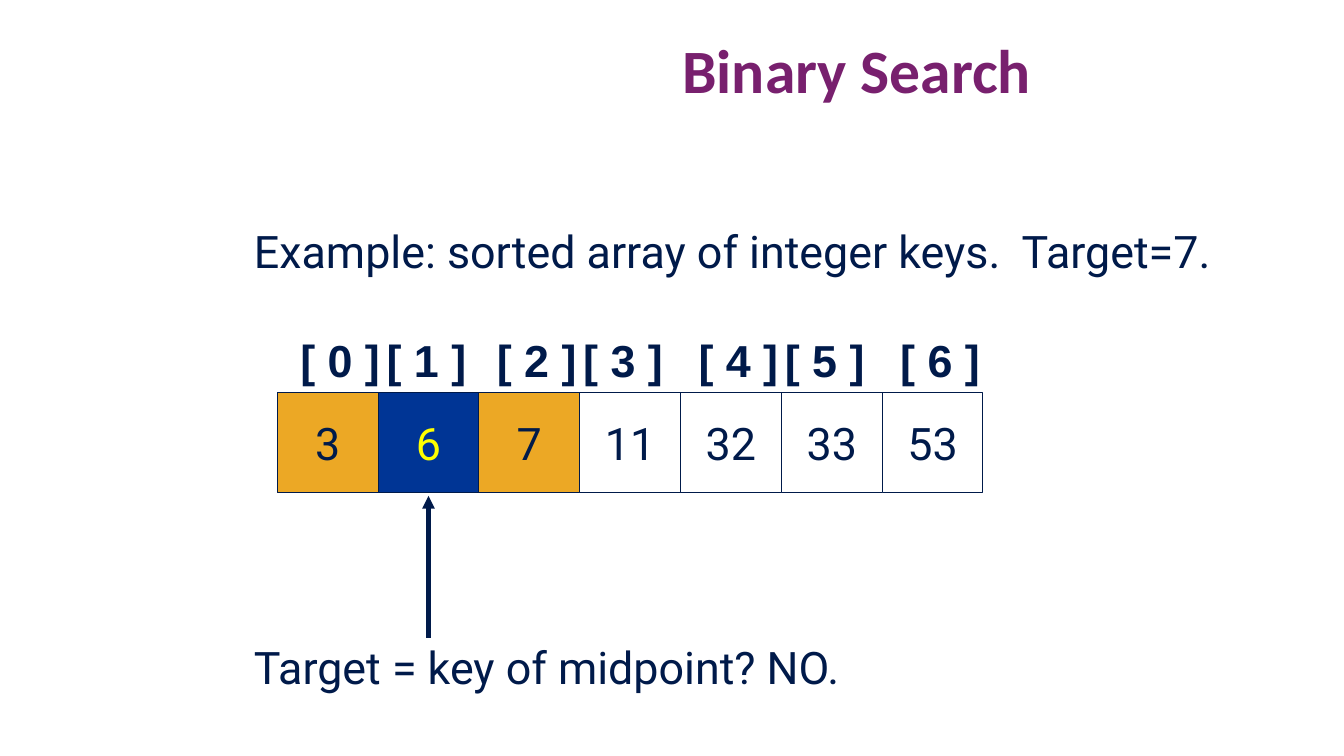
import pptx
import pptx.dml.color
import pptx.enum.shapes
import pptx.enum.text
import pptx.oxml.ns
import pptx.util
from lxml import etree

Inches = pptx.util.Inches
Pt = pptx.util.Pt
RGBColor = pptx.dml.color.RGBColor
Align = pptx.enum.text.PP_ALIGN
Anchor = pptx.enum.text.MSO_ANCHOR

NAVY = RGBColor(0x00, 0x1A, 0x4A)
BLUE = RGBColor(0x00, 0x35, 0x95)
AMBER = RGBColor(0xEC, 0xA8, 0x25)
YELLOW = RGBColor(0xFF, 0xFF, 0x00)
WHITE = RGBColor(0xFF, 0xFF, 0xFF)
PURPLE = RGBColor(0x78, 0x20, 0x6E)

KEYS = [3, 6, 7, 11, 32, 33, 53]
LOW, MIDDLE, HIGH = 0, 1, 2
CELL = 1
ARRAY_LEFT, ARRAY_TOP = 2.75, 3.89
LABEL_LEFTS = [2.88, 3.73, 4.83, 5.68, 6.83, 7.68, 8.83]


def write_text(shape, text, font="Roboto", size=32, color=NAVY, bold=False,
               align=Align.LEFT, anchor=Anchor.TOP, wrap=False, spacing=None):
    frame = shape.text_frame
    frame.word_wrap = wrap
    frame.vertical_anchor = anchor
    paragraph = frame.paragraphs[0]
    paragraph.alignment = align
    paragraph.line_spacing = spacing
    run = paragraph.add_run()
    run.text = text
    run.font.name = font
    run.font.size = Pt(size)
    run.font.bold = bold
    run.font.color.rgb = color


class SlideBuilder:
    def __init__(self, slide):
        self.shapes = slide.shapes
        self.line_color = NAVY

    def text(self, left, top, width, height, text, **style):
        box = self.shapes.add_textbox(
            Inches(left), Inches(top), Inches(width), Inches(height))
        write_text(box, text, **style)

    def cell(self, left, top, text, fill, color):
        shape = self.shapes.add_shape(
            pptx.enum.shapes.MSO_SHAPE.RECTANGLE,
            Inches(left), Inches(top), Inches(CELL), Inches(CELL))
        shape.shadow.inherit = False
        shape.fill.solid()
        shape.fill.fore_color.rgb = fill
        shape.line.color.rgb = self.line_color
        shape.line.width = Pt(0.75)
        write_text(shape, text, color=color,
                   align=Align.CENTER, anchor=Anchor.MIDDLE)

    def up_arrow(self, x, tip, bottom):
        arrow = self.shapes.add_connector(
            pptx.enum.shapes.MSO_CONNECTOR.STRAIGHT,
            Inches(x), Inches(tip), Inches(x), Inches(bottom))
        arrow.line.color.rgb = self.line_color
        arrow.line.width = Pt(3)
        qualified = pptx.oxml.ns.qn
        line = arrow.line._get_or_add_ln()
        etree.SubElement(line, qualified("a:headEnd"), type="triangle")
        etree.SubElement(arrow._element.spPr, qualified("a:effectLst"))


def main():
    presentation = pptx.Presentation()
    presentation.slide_width = Inches(13.33)
    presentation.slide_height = Inches(7.5)
    builder = SlideBuilder(
        presentation.slides.add_slide(presentation.slide_layouts[6]))

    builder.text(6.67, 0.32, 6.66, 0.79, "Binary Search", font="Calibri",
                 size=44, color=PURPLE, bold=True, anchor=Anchor.BOTTOM,
                 wrap=True, spacing=0.9)
    builder.text(2.42, 2.17, 9.84, 0.64,
                 "Example: sorted array of integer keys.  Target=7.")

    fills = {LOW: AMBER, MIDDLE: BLUE, HIGH: AMBER}
    for index, (key, label_left) in enumerate(zip(KEYS, LABEL_LEFTS)):
        builder.cell(ARRAY_LEFT + index * CELL, ARRAY_TOP, str(key),
                     fills.get(index, WHITE),
                     YELLOW if index == MIDDLE else NAVY)
        builder.text(label_left, 3.25, CELL, 0.64, f"[ {index} ]",
                     font="Arial", bold=True,
                     align=Align.CENTER if index % 2 else Align.LEFT)

    builder.up_arrow(ARRAY_LEFT + (MIDDLE + 0.5) * CELL, 4.92, 6.33)
    builder.text(2.42, 6.3, 6.13, 0.64, "Target = key of midpoint? NO.")

    presentation.save("out.pptx")


if __name__ == "__main__":
    main()
